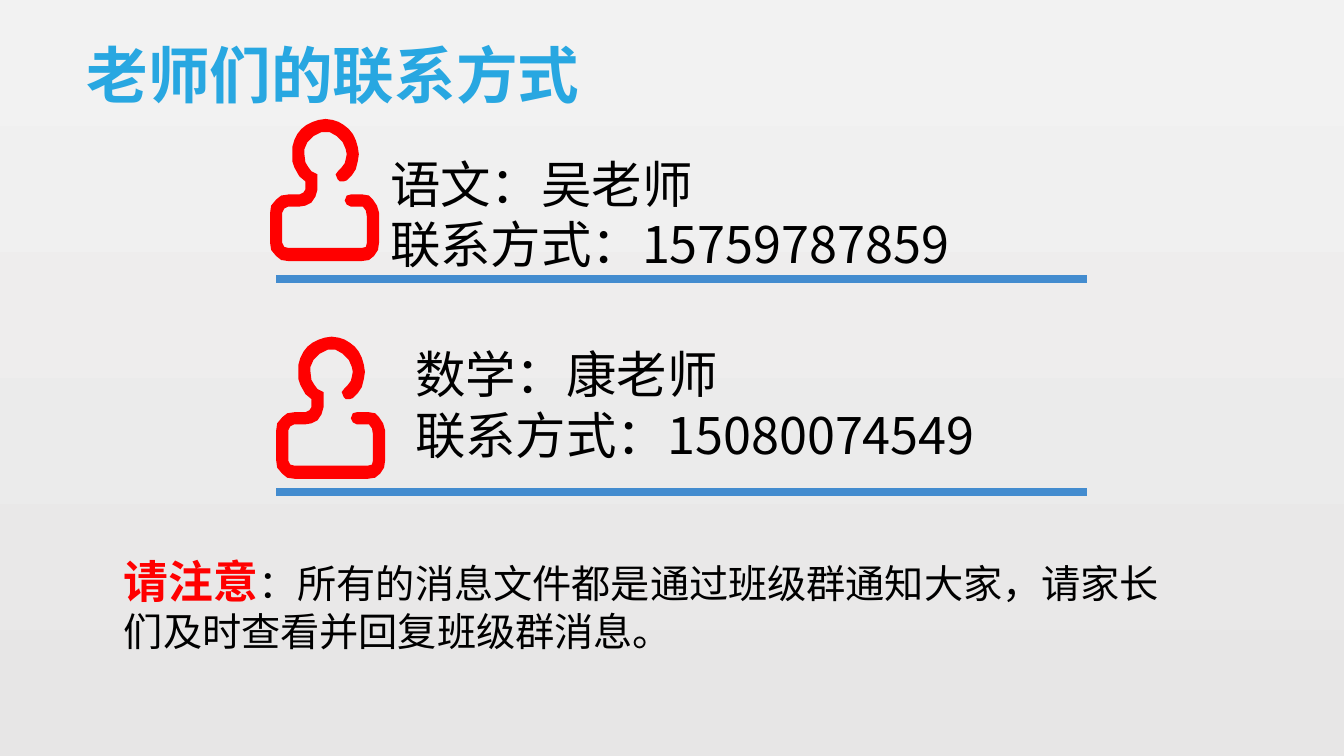
from lxml import etree
from pptx import Presentation
from pptx.dml.color import RGBColor
from pptx.enum.lang import MSO_LANGUAGE_ID as LANG
from pptx.enum.shapes import MSO_CONNECTOR as CONN
from pptx.enum.text import MSO_AUTO_SIZE as AUTO
from pptx.oxml.ns import qn
from pptx.util import Inches, Pt

COLORS = {"title": "28A7E1", "red": "FF0000", "rule": "438CCF",
          "text": "000000", "top": "F2F2F2", "bottom": "E7E6E6"}
CJK = "Noto Sans CJK SC"

prs = Presentation()
prs.slide_width, prs.slide_height = Inches(13.33), Inches(7.5)
col, row = prs.slide_width / 100, prs.slide_height / 100
s = prs.slides.add_slide(prs.slide_layouts[6])

bg = s.background.fill
bg.gradient()
bg.gradient_angle = 270
for stop, name in zip(bg.gradient_stops, ("top", "bottom")):
    stop.color.rgb = RGBColor.from_string(COLORS[name])
bg.gradient_stops[0].position, bg.gradient_stops[1].position = 0, 1


def add_text(x, y, w, h, lines):
    tf = s.shapes.add_textbox(int(x * col), int(y * row), int(w * col), int(h * row)).text_frame
    tf.word_wrap = True
    tf.auto_size = AUTO.SHAPE_TO_FIT_TEXT
    for i, runs in enumerate(lines):
        p = tf.add_paragraph() if i else tf.paragraphs[0]
        for text, size, font, color, bold in runs:
            r = p.add_run()
            r.text = text
            r.font.size, r.font.name, r.font.bold = Pt(size), font, bold
            r.font.color.rgb = RGBColor.from_string(COLORS[color])
            r.font.language_id = LANG.SIMPLIFIED_CHINESE
            etree.SubElement(r.font._element, qn("a:ea"), typeface=CJK)


PERSON = [
    (18, 141), (11, 140), (6, 136), (1, 130), (0, 123), (0, 93), (1, 86), (6, 80),
    (11, 76), (18, 75), (29, 75), (33, 73), (35, 70), (35, 62), (29, 57), (24, 48),
    (22, 42), (22, 35), (22, 28), (24, 21), (27, 15), (31, 10), (36, 6), (42, 3),
    (48, 1), (55, 0), (62, 1), (68, 3), (73, 6), (78, 10), (82, 15), (85, 21),
    (87, 28), (88, 35), (87, 42), (85, 50), (81, 56), (76, 61), (73, 62), (69, 62),
    (67, 60), (65, 55), (68, 51), (71, 48), (74, 44), (75, 40), (76, 35), (75, 30),
    (72, 23), (66, 17), (59, 13), (55, 13), (51, 13), (43, 17), (37, 23), (34, 30),
    (34, 35), (35, 43), (38, 48), (41, 52), (47, 55), (47, 70), (45, 77), (41, 83),
    (35, 86), (29, 87), (18, 87), (14, 89), (12, 93), (12, 123), (14, 127), (18, 128),
    (91, 128), (95, 127), (96, 123), (96, 97), (95, 91), (92, 87), (80, 87), (76, 85),
    (74, 81), (76, 76), (80, 75), (92, 75), (98, 76), (102, 80), (106, 86), (108, 93),
    (108, 123), (107, 130), (103, 136), (98, 140), (91, 141),
]
TEACHERS = [
    ("语文：吴老师", "15759787859", (20.1, 15.73), 36.93, (28.28, 19.6, 45.45)),
    ("数学：康老师", "15080074549", (20.55, 44.53), 65.07, (30.15, 44.8, 49.13)),
]

add_text(5.7, 4.27, 39.23, 11.2, [[("老师们的联系方式", 44, CJK, "title", True)]])

for teacher, phone, (icon_x, icon_y), rule_y, (x, y, w) in TEACHERS:
    fb = s.shapes.build_freeform(*PERSON[0], scale=Inches(0.01))
    fb.add_line_segments(PERSON[1:], close=True)
    sp = fb.convert_to_shape(int(icon_x * col), int(icon_y * row))
    sp.shadow.inherit = False
    sp.fill.solid()
    sp.fill.fore_color.rgb = RGBColor.from_string(COLORS["red"])
    sp.line.fill.background()

    rule = s.shapes.add_connector(CONN.STRAIGHT, int(20.55 * col), int(rule_y * row),
                                  int(80.85 * col), int(rule_y * row))
    rule.line.color.rgb = RGBColor.from_string(COLORS["rule"])
    rule.line.width = Pt(5.5)
    etree.SubElement(rule._element.spPr, qn("a:effectLst"))

    add_text(x, y, w, 17.47, [[(line, 36, CJK, "text", False)]
                              for line in (teacher, "联系方式：" + phone)])

add_text(8.48, 72.53, 79.8, 14.8, [[
    ("请注意", 32, "Arial", "red", True),
    ("：所有的消息文件都是通过班级群通知大家，请家长们及时查看并回复班级群消息。",
     28, "Arial", "text", False),
]])

prs.save("out.pptx")
